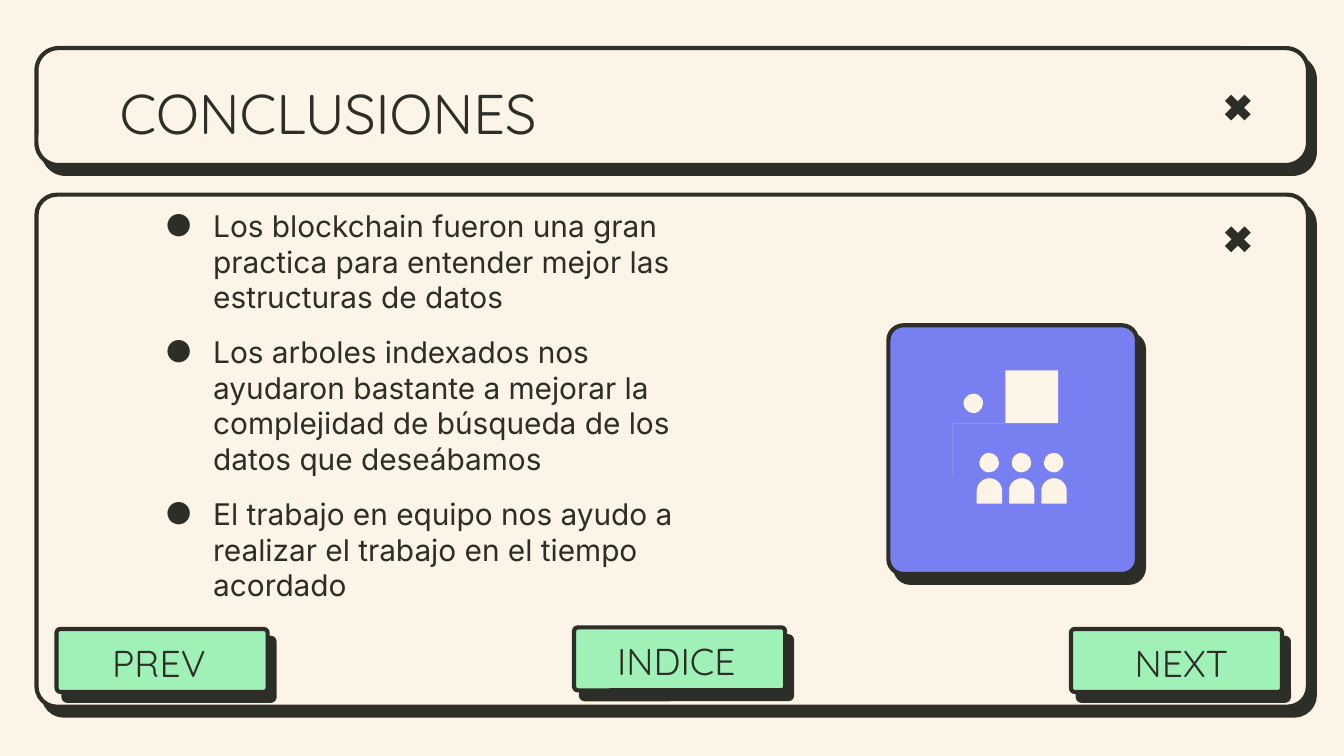
from math import cos, radians, sin

from lxml import etree
from pptx import Presentation
from pptx.dml.color import RGBColor
from pptx.enum.shapes import MSO_SHAPE
from pptx.enum.text import MSO_ANCHOR, MSO_AUTO_SIZE, PP_ALIGN
from pptx.oxml.ns import qn
from pptx.util import Cm, Pt

ROUND = MSO_SHAPE.ROUNDED_RECTANGLE
CROSS = MSO_SHAPE.MATH_MULTIPLY
OVAL = MSO_SHAPE.OVAL
DOME = MSO_SHAPE.ROUND_2_SAME_RECTANGLE
TOP, MIDDLE = MSO_ANCHOR.TOP, MSO_ANCHOR.MIDDLE
LEFT, CENTER = PP_ALIGN.LEFT, PP_ALIGN.CENTER

CREAM, INK, BLUE, GREEN = "FCF4E6", "2D2E27", "787FF0", "9FF1B7"
PAD = Cm(0.25)
FRAME = {
    "auto_size": MSO_AUTO_SIZE.NONE, "word_wrap": True,
    "margin_left": PAD, "margin_right": PAD,
    "margin_top": PAD, "margin_bottom": PAD,
}
HEAD = {"name": "Quicksand", "size": Pt(30), "bold": False}
LABEL = {"name": "Quicksand", "size": Pt(20)}
BODY = {"name": "Inter", "size": Pt(16)}

POINTS = [
    "Los blockchain fueron una gran practica para entender mejor las "
    "estructuras de datos",
    "Los arboles indexados nos ayudaron bastante a mejorar la complejidad "
    "de búsqueda de los datos que deseábamos",
    "El trabajo en equipo nos ayudo a realizar el trabajo en el tiempo "
    "acordado",
]
# label, button left and top, text offset, text width
BUTTONS = [
    ("PREV", 1.07, 11.89, 0.18, 3.51),
    ("NEXT", 20.24, 11.89, 0.2, 3.78),
    ("INDICE", 10.85, 11.86, 0.18, 3.51),
]
ICON = (18.08, 7.44)
BOARD = [(0.86, 0), (0.86, 0.38), (1.09, 0.38), (1.09, 0.86),
         (0.86, 0.86), (0.86, 0.99), (2.08, 0.99), (2.08, 0)]
BARS = [(1.96, 0.25), (1.96, 0.74), (1.35, 0.74), (1.35, 0.51),
        (1.47, 0.51), (1.47, 0.61), (1.6, 0.61), (1.6, 0.38),
        (1.73, 0.38), (1.73, 0.61), (1.83, 0.61), (1.83, 0.25)]


def paint(fill, tone):
    fill.solid()
    fill.fore_color.rgb = RGBColor.from_string(tone)


def apply(item, style):
    for key, value in style.items():
        setattr(item, key, value)


def place(shape, *box):
    names = ("left", "top", "width", "height")
    apply(shape, {k: Cm(v) for k, v in zip(names, box)})


def plain(shape, tone):
    paint(shape.fill, tone)
    shape.line.fill.background()
    shape.shadow.inherit = False


def solid(shapes, kind, box, tone, *adjust):
    shape = shapes.add_shape(kind, *map(Cm, box))
    for i, value in enumerate(adjust):
        shape.adjustments[i] = value
    plain(shape, tone)
    return shape


def card(shapes, box, tone, curve):
    """Add an outlined round box with a hard offset shadow."""
    shape = solid(shapes, ROUND, box, tone, curve)
    paint(shape.line.fill, INK)
    shape.line.width = Pt(2.25)
    effect = shape._element.spPr.find(qn("a:effectLst"))
    drop = etree.SubElement(effect, qn("a:outerShdw"), blurRad="0",
                            dist=str(Pt(6)), dir=str(52 * 60000),
                            algn="bl", rotWithShape="0")
    etree.SubElement(drop, qn("a:srgbClr"), val=INK)


def write(shape, lines, font, anchor, align):
    frame = shape.text_frame
    apply(frame, FRAME)
    frame.vertical_anchor = anchor
    frame.text = "\n".join(lines)
    for para in frame.paragraphs:
        para.alignment = align
        run = para.runs[0]
        apply(run.font, font)
        run.font.color.rgb = RGBColor.from_string(INK)


def bullet(para):
    props = para._p.get_or_add_pPr()
    props.set("marL", str(Cm(1.27)))
    props.set("indent", str(Cm(-0.91)))
    tint = etree.SubElement(props, qn("a:buClr"))
    etree.SubElement(tint, qn("a:srgbClr"), val=INK)
    etree.SubElement(props, qn("a:buFont"), typeface="Inter")
    etree.SubElement(props, qn("a:buChar"), char="●")


def arc(x, y, size, start, end, steps=12):
    turns = [radians(start + (end - start) * i / steps)
             for i in range(steps + 1)]
    return [(x + size * cos(t), y + size * sin(t)) for t in turns]


def outline(shapes, loops, tone):
    """Draw closed loops, given in cm from the icon corner."""
    loops = [[(ICON[0] + x, ICON[1] + y) for x, y in loop] for loop in loops]
    pen = shapes.build_freeform(*loops[0][0], scale=Cm(1))
    for i, loop in enumerate(loops):
        if i:
            pen.move_to(*loop[0])
        pen.add_line_segments(loop[1:], close=True)
    plain(pen.convert_to_shape(), tone)


def icon(slide):
    shapes = slide.shapes.add_group_shape().shapes
    x, y = ICON
    solid(shapes, OVAL, (x + 0.13, y, 0.37, 0.37), CREAM)
    outline(shapes, [BOARD, BARS], CREAM)
    for i in range(3):
        left = x + 0.38 + 0.61 * i
        solid(shapes, DOME, (left, y + 1.6, 0.48, 0.48), CREAM, 0.5, 0)
        solid(shapes, OVAL, (left + 0.05, y + 1.12, 0.37, 0.37), CREAM)
    arm = (arc(0.24, 0.75, 0.24, 270, 180) + [(0, 1.35)]
           + arc(0.61, 1.3, 0.32, 171, 245)
           + [(0.48, 0.74), (0.99, 0.74), (0.99, 0.51)])
    outline(shapes, [arm], CREAM)


def panels(slide):
    for top, high, curve, mark in ((0.91, 2.21, 0.19, 1.68),
                                   (3.68, 9.68, 0.04, 4.17)):
        card(slide.shapes, (0.69, top, 24.03, high), CREAM, curve)
        solid(slide.shapes, CROSS, (23.04, mark, 0.71, 0.71), INK, 0.235)


def texts(slide):
    title, body = slide.placeholders
    for holder in (body, title):
        slide.shapes._spTree.append(holder._element)
    place(title, 2.01, 1.24, 21.41, 1.6)
    write(title, ["CONCLUSIONES"], HEAD, TOP, LEFT)
    place(body, 2.51, 3.76, 11.28, 8.41)
    write(body, POINTS, BODY, TOP, LEFT)
    body.text_frame.margin_top = Cm(0.16)
    for para in body.text_frame.paragraphs:
        apply(para, {"space_before": Pt(0), "space_after": Pt(10)})
        bullet(para)


def button(slide, label, left, top, shift, wide):
    card(slide.shapes, (left, top, 3.99, 1.19), GREEN, 0.06)
    box = (left + shift, top + 0.18, wide, 0.91)
    text = slide.shapes.add_textbox(*map(Cm, box))
    write(text, [label], LABEL, MIDDLE, CENTER)


def main():
    deck = Presentation()
    deck.slide_width, deck.slide_height = Cm(25.4), Cm(14.29)
    slide = deck.slides.add_slide(deck.slide_layouts[1])
    paint(slide.background.fill, CREAM)
    panels(slide)
    card(slide.shapes, (16.79, 6.15, 4.7, 4.7), BLUE, 0.06)
    texts(slide)
    icon(slide)
    for spec_row in BUTTONS:
        button(slide, *spec_row)
    deck.save("out.pptx")


if __name__ == "__main__":
    main()
